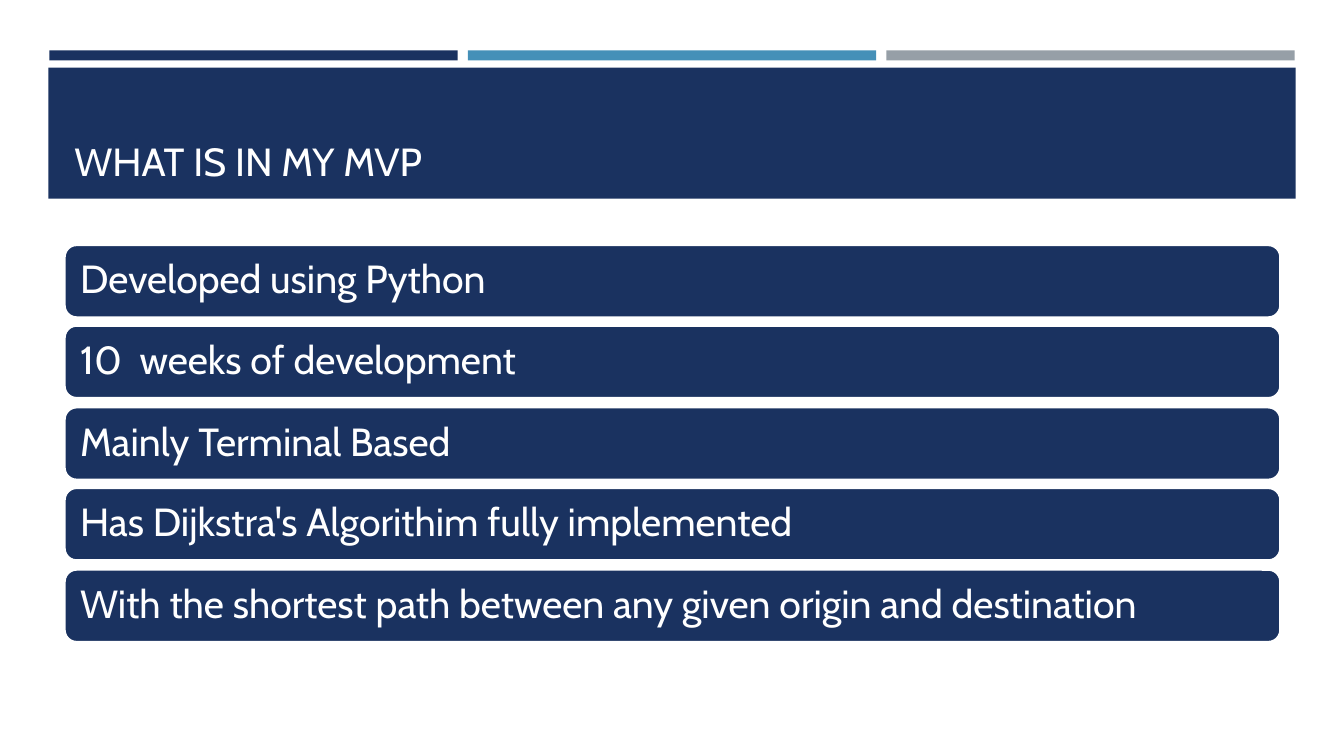
"""Build the slide that lists what is in the MVP."""
from dataclasses import dataclass

from pptx import Presentation
from pptx.dml.color import RGBColor
from pptx.enum.shapes import MSO_SHAPE
from pptx.enum.text import MSO_ANCHOR, PP_ALIGN
from pptx.util import Pt

RECTANGLE = MSO_SHAPE.RECTANGLE
ROUNDED = MSO_SHAPE.ROUNDED_RECTANGLE
LEFT = PP_ALIGN.LEFT
MIDDLE = MSO_ANCHOR.MIDDLE
BOTTOM = MSO_ANCHOR.BOTTOM
EMU_PER_PX = 9144


@dataclass(frozen=True)
class Theme:
    navy: RGBColor = RGBColor.from_string("1A3260")
    blue: RGBColor = RGBColor.from_string("4590B8")
    grey: RGBColor = RGBColor.from_string("969FA7")
    white: RGBColor = RGBColor.from_string("FFFFFF")
    font: str = "Cabin"
    size: Pt = Pt(28)
    outline: Pt = Pt(1.75)


theme = Theme()


def add_block(page, kind, bounds, color):
    block = page.shapes.add_shape(kind, *(value * EMU_PER_PX for value in bounds))
    block.shadow.inherit = False
    block.fill.solid()
    block.fill.fore_color.rgb = color
    block.line.fill.background()
    return block


def write_line(box, text, anchor, side_inset):
    frame = box.text_frame
    frame.word_wrap = True
    frame.vertical_anchor = anchor
    frame.margin_left = frame.margin_right = side_inset * EMU_PER_PX
    para = frame.paragraphs[0]
    para.text = text
    para.alignment = LEFT
    para.font.name = theme.font
    para.font.size = theme.size
    para.font.color.rgb = theme.white
    return para


deck = Presentation()
deck.slide_width = 1333 * EMU_PER_PX
deck.slide_height = 750 * EMU_PER_PX
page = deck.slides.add_slide(deck.slide_layouts[6])

for index, color in enumerate((theme.navy, theme.blue, theme.grey)):
    add_block(page, RECTANGLE, (49 + index * 415, 50, 405, 10), color)

add_block(page, RECTANGLE, (48, 67, 1237, 130), theme.navy)
title_bounds = (64, 77, 1206, 111)
title = page.shapes.add_textbox(*(value * EMU_PER_PX for value in title_bounds))
write_line(title, "WHAT IS IN MY MVP", BOTTOM, 10)

features = (
    "Developed using Python",
    "10  weeks of development",
    "Mainly Terminal Based",
    "Has Dijkstra's Algorithim fully implemented",
    "With the shortest path between any given origin and destination",
)
for index, feature in enumerate(features):
    top = 243 + index * 161 // 2
    bar = add_block(page, ROUNDED, (64, top, 1206, 72), theme.navy)
    bar.line.color.rgb = theme.white
    bar.line.width = theme.outline
    write_line(bar, feature, MIDDLE, 12).line_spacing = 0.9

deck.save("out.pptx")
